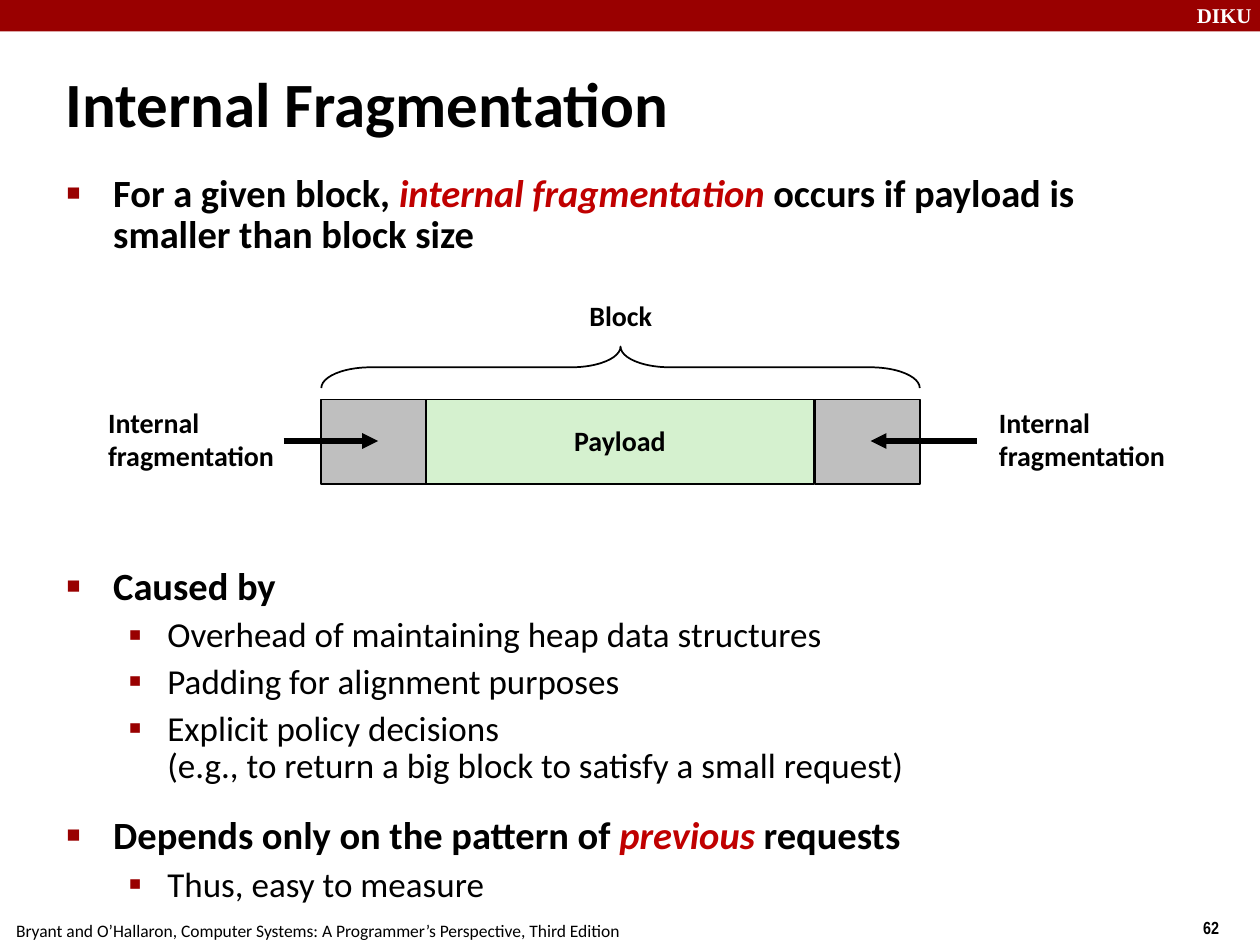
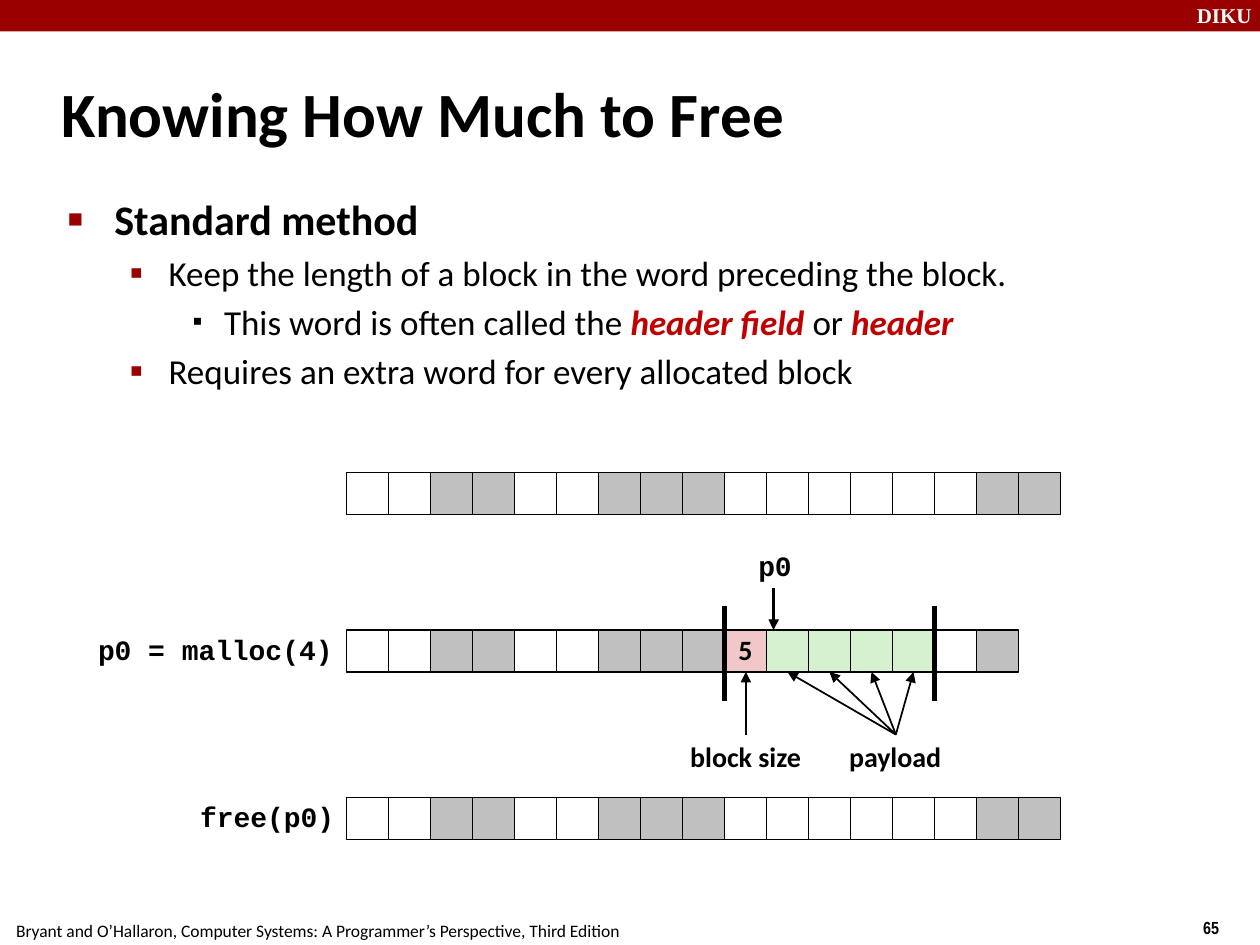
from dataclasses import dataclass

from lxml.etree import SubElement
from pptx import Presentation
from pptx.dml.color import RGBColor
from pptx.enum.shapes import MSO_CONNECTOR as Connector, MSO_SHAPE as Shape
from pptx.enum.text import MSO_ANCHOR as Anchor, PP_ALIGN as Align
from pptx.oxml.ns import qn
from pptx.util import Inches, Pt

BLACK = RGBColor(0x00, 0x00, 0x00)
WHITE = RGBColor(0xFF, 0xFF, 0xFF)
BAND_RED = RGBColor(0x99, 0x00, 0x00)
TERM_RED = RGBColor(0xC0, 0x00, 0x00)
PAYLOAD_GREEN = RGBColor(0xD5, 0xF1, 0xCF)
HEADER_PINK = RGBColor(0xF1, 0xC7, 0xC7)
UNUSED_GRAY = RGBColor(0xBF, 0xBF, 0xBF)
ALLOCATED_GRAY = RGBColor(0xC0, 0xC0, 0xC0)

BODY_FONT = "Calibri"
CODE_FONT = "Courier New"
SERIF_FONT = "Times New Roman"
FOOTER = "Bryant and O’Hallaron, Computer Systems: A Programmer’s Perspective, Third Edition"

CELL = 1 / 3
ROW_LEFT = 2.75
HEADER_INDEX = 9
CELL_FILLS = {".": WHITE, "#": ALLOCATED_GRAY, "h": HEADER_PINK, "p": PAYLOAD_GREEN}


@dataclass(frozen=True)
class Area:
    left: float
    top: float
    width: float
    height: float

    def lengths(self) -> tuple:
        return tuple(Inches(n) for n in (self.left, self.top, self.width, self.height))


@dataclass(frozen=True)
class Span:
    text: str
    term: bool = False


@dataclass(frozen=True)
class Bullet:
    spans: tuple[Span, ...]
    level: int = 0
    size: float = 20
    before: float = 5.6


@dataclass(frozen=True)
class Level:
    margin: float
    hanging: float
    symbol: str
    percent: int
    color: RGBColor
    bold: bool = False


@dataclass(frozen=True)
class MemoryRow:
    top: float
    cells: str


LEVELS = (
    Level(0.38, 0.37, "■", 60, BAND_RED, bold=True),
    Level(0.81, 0.31, "▪", 110, BAND_RED),
    Level(1.25, 0.25, "▪", 80, BLACK),
)


def add_span(para, text: str, *, size: float, font: str = BODY_FONT,
             color: RGBColor = BLACK, bold: bool = True, italic: bool = False) -> None:
    """Add formatted text, turning each newline into a line break."""
    for number, line in enumerate(text.split("\n")):
        if number:
            para.add_line_break()
        run = para.add_run()
        run.text = line
        run.font.size, run.font.name = Pt(size), font
        run.font.bold, run.font.italic = bold, italic
        run.font.color.rgb = color


def write(box, *lines: str, spacing: float | None = None, align: Align = Align.LEFT,
          anchor: Anchor = Anchor.TOP, size: float = 16, **style) -> None:
    frame = box.text_frame
    frame.word_wrap, frame.vertical_anchor = True, anchor
    for number, line in enumerate(lines):
        para = frame.add_paragraph() if number else frame.paragraphs[0]
        para.alignment, para.line_spacing = align, spacing
        add_span(para, line, size=size, **style)


def add_label(page, area: Area, *lines: str, **style) -> None:
    write(page.shapes.add_textbox(*area.lengths()), *lines, **style)


def add_block(page, area: Area, fill: RGBColor | None = None,
              kind: Shape = Shape.RECTANGLE, outlined: bool = True):
    block = page.shapes.add_shape(kind, *area.lengths())
    block.shadow.inherit = False
    if fill is None:
        block.fill.background()
    else:
        block.fill.solid()
        block.fill.fore_color.rgb = fill
    if outlined:
        block.line.color.rgb = BLACK
        block.line.width = Pt(1)
    else:
        block.line.fill.background()
    return block


def add_line(page, start: tuple[float, float], end: tuple[float, float],
             width: float = 1, arrow: bool = True) -> None:
    line = page.shapes.add_connector(Connector.STRAIGHT, *map(Inches, start + end))
    line.line.color.rgb = BLACK
    line.line.width = Pt(width)
    if arrow:
        SubElement(line.line._get_or_add_ln(), qn("a:tailEnd"), type="triangle")
    SubElement(line._element.spPr, qn("a:effectLst"))


def add_bullet_mark(para, level: Level) -> None:
    properties = para._p.get_or_add_pPr()
    properties.set("marL", str(Inches(level.margin)))
    properties.set("indent", str(-Inches(level.hanging)))
    color = SubElement(properties, qn("a:buClr"))
    SubElement(color, qn("a:srgbClr"), val=str(level.color))
    SubElement(properties, qn("a:buSzPct"), val=str(level.percent * 1000))
    SubElement(properties, qn("a:buFont"), typeface=SERIF_FONT)
    SubElement(properties, qn("a:buChar"), char=level.symbol)


def add_bullets(page, area: Area, bullets: list[Bullet], spacing: float | None = None) -> None:
    frame = page.shapes.add_textbox(*area.lengths()).text_frame
    frame.word_wrap = True
    for number, bullet in enumerate(bullets):
        para = frame.add_paragraph() if number else frame.paragraphs[0]
        level = LEVELS[bullet.level]
        para.level = bullet.level
        para.line_spacing, para.space_before = spacing, Pt(bullet.before)
        add_bullet_mark(para, level)
        for span in bullet.spans:
            add_span(para, span.text, size=bullet.size, bold=level.bold or span.term,
                     italic=span.term, color=TERM_RED if span.term else BLACK)


def add_page(deck, title: str, title_area: Area, number: int):
    """Add a slide with the red band, footer, page number and title."""
    page = deck.slides.add_slide(deck.slide_layouts[6])
    add_block(page, Area(0, 0, 10, 0.25), BAND_RED, outlined=False)
    add_label(page, Area(9.4, -0.03, 0.67, 0.3), "DIKU", size=12,
              font=SERIF_FONT, color=WHITE)
    add_label(page, Area(9.45, 7.23, 0.5, 0.27), str(number), size=10, font="Arial Narrow")
    add_label(page, Area(0.03, 7.25, 5.2, 0.25), FOOTER, size=10, bold=False)
    add_label(page, title_area, title, size=36, anchor=Anchor.MIDDLE)
    return page


def draw_fragmentation(deck) -> None:
    page = add_page(deck, "Internal Fragmentation", Area(0.42, 0.5, 7.36, 0.63), 62)
    add_bullets(page, Area(0.42, 1.34, 9.08, 5.91), [
        Bullet((Span("For a given block, "), Span("internal fragmentation ", term=True),
                Span("occurs if payload is smaller than block size")), size=22),
        Bullet((Span("Caused by"),), size=22, before=178),
        Bullet((Span("Overhead of maintaining heap data structures"),), 1),
        Bullet((Span("Padding for alignment purposes"),), 1),
        Bullet((Span("Explicit policy decisions\n"
                     "(e.g., to return a big block to satisfy a small request)"),), 1),
        Bullet((Span("Depends only on the pattern of "), Span("previous ", term=True),
                Span("requests")), size=22, before=18),
        Bullet((Span("Thus, easy to measure"),), 1),
    ], spacing=0.88)

    payload = add_block(page, Area(3.38, 3.17, 3.08, 0.67), PAYLOAD_GREEN)
    write(payload, "Payload", spacing=0.98, align=Align.CENTER, anchor=Anchor.MIDDLE)
    for unused_left in (2.55, 6.47):
        add_block(page, Area(unused_left, 3.17, 0.83, 0.67), UNUSED_GRAY)
    brace = add_block(page, Area(4.76, 0.54, 0.33, 4.75), kind=Shape.RIGHT_BRACE)
    brace.adjustments[0], brace.adjustments[1] = 1.19, 0.5
    brace.rotation = 270
    add_label(page, Area(4.58, 2.33, 0.85, 0.37), "Block", spacing=0.98)
    for label_left, arrow_start, arrow_end in ((0.76, 2.25, 3), (7.83, 7.75, 6.91)):
        add_label(page, Area(label_left, 3.18, 1.65, 0.63), "Internal", "fragmentation",
                  spacing=0.98)
        add_line(page, (arrow_start, 3.5), (arrow_end, 3.5), width=3)


def cell_left(index: int) -> float:
    return ROW_LEFT + index * CELL


def draw_freeing(deck) -> None:
    page = add_page(deck, "Knowing How Much to Free", Area(0.39, 0.48, 8.3, 0.83), 65)
    add_bullets(page, Area(0.43, 1.49, 8.63, 5.44), [
        Bullet((Span("Standard method"),), size=24, before=4.8),
        Bullet((Span("Keep the length of a block in the word preceding the block."),),
               1, before=4),
        Bullet((Span("This word is often called the "), Span("header field ", term=True),
                Span("or "), Span("header", term=True)), 2, before=4),
        Bullet((Span("Requires an extra word for every allocated block"),), 1, before=4),
    ])

    before = MemoryRow(3.75, "..##..###......##")
    allocated = MemoryRow(5, "..##..###hpppp.#")
    freed = MemoryRow(6.33, before.cells)
    for row in (before, allocated, freed):
        for index, kind in enumerate(row.cells):
            cell = add_block(page, Area(cell_left(index), row.top, CELL, CELL),
                             CELL_FILLS[kind])
            if kind == "h":
                write(cell, "5", spacing=0.98, align=Align.CENTER, anchor=Anchor.MIDDLE)

    for text, area in (("p0 = malloc(4)", Area(0.68, 4.99, 2.2, 0.37)),
                       ("p0", Area(5.92, 4.33, 0.6, 0.37)),
                       ("free(p0)", Area(1.49, 6.32, 1.4, 0.37))):
        add_label(page, area, text, font=CODE_FONT, spacing=0.94)
    for text, area in (("block size", Area(5.38, 5.83, 1.2, 0.37)),
                       ("payload", Area(6.64, 5.83, 1.05, 0.37))):
        add_label(page, area, text, spacing=0.98)

    for edge in (HEADER_INDEX, HEADER_INDEX + 5):
        add_line(page, (cell_left(edge), 4.81), (cell_left(edge), 5.56), width=3, arrow=False)
    add_line(page, (6.14, 4.67), (6.14, allocated.top), width=2)
    cell_bottom = allocated.top + CELL
    add_line(page, (5.92, 5.83), (5.92, cell_bottom))
    for index in range(4):
        add_line(page, (7.11, 5.83), (6.25 + index * CELL, cell_bottom))


def main() -> None:
    deck = Presentation()
    deck.slide_width, deck.slide_height = Inches(10), Inches(7.5)
    draw_fragmentation(deck)
    draw_freeing(deck)
    deck.save("out.pptx")


if __name__ == "__main__":
    main()
